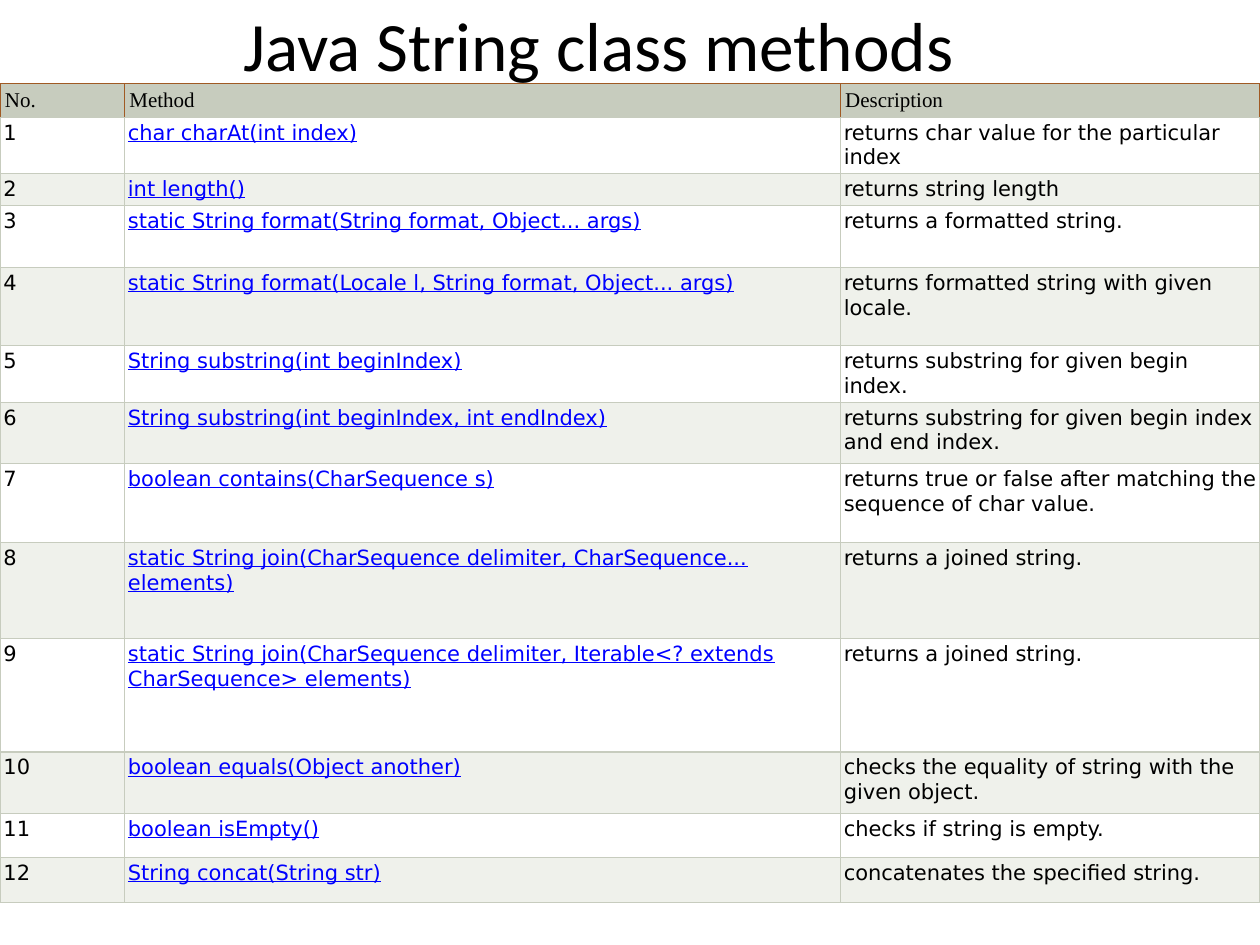
import pptx
import pptx.dml.color
import pptx.enum.text
import pptx.oxml.ns
import pptx.util
import lxml.etree

Cm = pptx.util.Cm
Pt = pptx.util.Pt
RGB = pptx.dml.color.RGBColor

BLACK = RGB(0, 0, 0)
WHITE = RGB(255, 255, 255)
BLUE = RGB(0, 0, 255)
SAGE = RGB(0xC7, 0xCC, 0xBE)
PALE = RGB(0xEF, 0xF1, 0xEB)
BROWN = RGB(0xA0, 0x5A, 0x24)

HEADS = ("No.", "Method", "Description")
WIDTHS = (2.51, 14.43, 8.46)
HEAD_HIGH = 0.67
# Row height in cm, method, description
METHODS = (
    (1.14, "char charAt(int index)", "returns char value for the particular index"),
    (0.64, "int length()", "returns string length"),
    (1.25, "static String format(String format, Object... args)",
     "returns a formatted string."),
    (1.58, "static String format(Locale l, String format, Object... args)",
     "returns formatted string with given locale."),
    (1.14, "String substring(int beginIndex)",
     "returns substring for given begin index."),
    (1.24, "String substring(int beginIndex, int endIndex)",
     "returns substring for given begin index and end index."),
    (1.59, "boolean contains(CharSequence s)",
     "returns true or false after matching the sequence of char value."),
    (1.93, "static String join(CharSequence delimiter, CharSequence... elements)",
     "returns a joined string."),
    (2.29, "static String join(CharSequence delimiter, "
     "Iterable<? extends CharSequence> elements)", "returns a joined string."),
    (1.24, "boolean equals(Object another)",
     "checks the equality of string with the given object."),
    (0.89, "boolean isEmpty()", "checks if string is empty."),
    (0.9, "String concat(String str)", "concatenates the specified string."),
)


def assign(thing, values):
    """Set each attribute named in a dict."""
    for name, value in values.items():
        setattr(thing, name, value)


class Page:
    """Holds the style and the current slide."""

    title_font = {"name": "Calibri", "size": Pt(39.6), "bold": False}
    head_font = {"name": "Times New Roman", "size": Pt(12), "bold": False}
    body_font = {"name": "DejaVu Sans", "size": Pt(12), "bold": False}
    edge = Pt(0.75)

    def __init__(self, deck):
        """Add a title-only slide to the deck."""
        self.slide = deck.slides.add_slide(deck.slide_layouts[5])

    def label(self, frame, text, font, color):
        """Put one formatted paragraph in a text frame."""
        frame.text = text
        run = frame.paragraphs[0].runs[0]
        assign(run.font, font)
        run.font.color.rgb = color

    def title(self, text, left, top, width, height):
        """Place and fill the title."""
        shape = self.slide.shapes.title
        assign(shape, {"left": Cm(left), "top": Cm(top),
                       "width": Cm(width), "height": Cm(height)})
        frame = shape.text_frame
        self.label(frame, text, self.title_font, BLACK)
        assign(frame, {"vertical_anchor": pptx.enum.text.MSO_ANCHOR.MIDDLE,
                       "auto_size": pptx.enum.text.MSO_AUTO_SIZE.NONE,
                       "word_wrap": True})
        frame.paragraphs[0].alignment = pptx.enum.text.PP_ALIGN.CENTER

    def border(self, cell, colors):
        """Draw the left, right, top and bottom edges of a cell."""
        qn = pptx.oxml.ns.qn
        props = cell._tc.get_or_add_tcPr()
        for side, color in zip("LRTB", colors):
            line = lxml.etree.SubElement(props, qn("a:ln" + side), w=str(self.edge))
            fill = lxml.etree.SubElement(line, qn("a:solidFill"))
            lxml.etree.SubElement(fill, qn("a:srgbClr"), val=str(color))

    def cell(self, cell, text, font, color, fill, inset, edges):
        """Fill one table cell."""
        self.label(cell.text_frame, text, font, color)
        assign(cell, {"margin_" + side: Cm(inset)
                      for side in ("left", "right", "top", "bottom")})
        self.border(cell, edges)
        cell.fill.solid()
        cell.fill.fore_color.rgb = fill

    def table(self, left, top, heads, widths, high, items):
        """Add the table with a head row and striped, numbered rows."""
        heights = [high] + [item[0] for item in items]
        grid = self.slide.shapes.add_table(
            len(heights), len(widths), Cm(left), Cm(top),
            Cm(sum(widths)), Cm(sum(heights))).table
        assign(grid, {"first_row": False, "horz_banding": False})
        for column, width in zip(grid.columns, widths):
            column.width = Cm(width)
        for row, height in zip(grid.rows, heights):
            row.height = Cm(height)
        for col, text in enumerate(heads):
            self.cell(grid.cell(0, col), text, self.head_font, BLACK, SAGE,
                      0.1, (BROWN, BROWN, BROWN, SAGE))
        for row, (_, method, note) in enumerate(items, 1):
            fill = WHITE if row % 2 else PALE
            for col, text in enumerate((str(row), method, note)):
                link = col == 1
                self.cell(grid.cell(row, col), text,
                          {**self.body_font, "underline": link},
                          BLUE if link else BLACK, fill, 0.07, [SAGE] * 4)


def main():
    """Build and save the deck."""
    deck = pptx.Presentation()
    assign(deck, {"slide_width": Cm(25.4), "slide_height": Cm(19.05)})
    page = Page(deck)
    page.title("Java String class methods", 0.64, 0, 22.86, 1.78)
    page.table(0, 1.69, HEADS, WIDTHS, HEAD_HIGH, METHODS)
    deck.save("out.pptx")


main()
